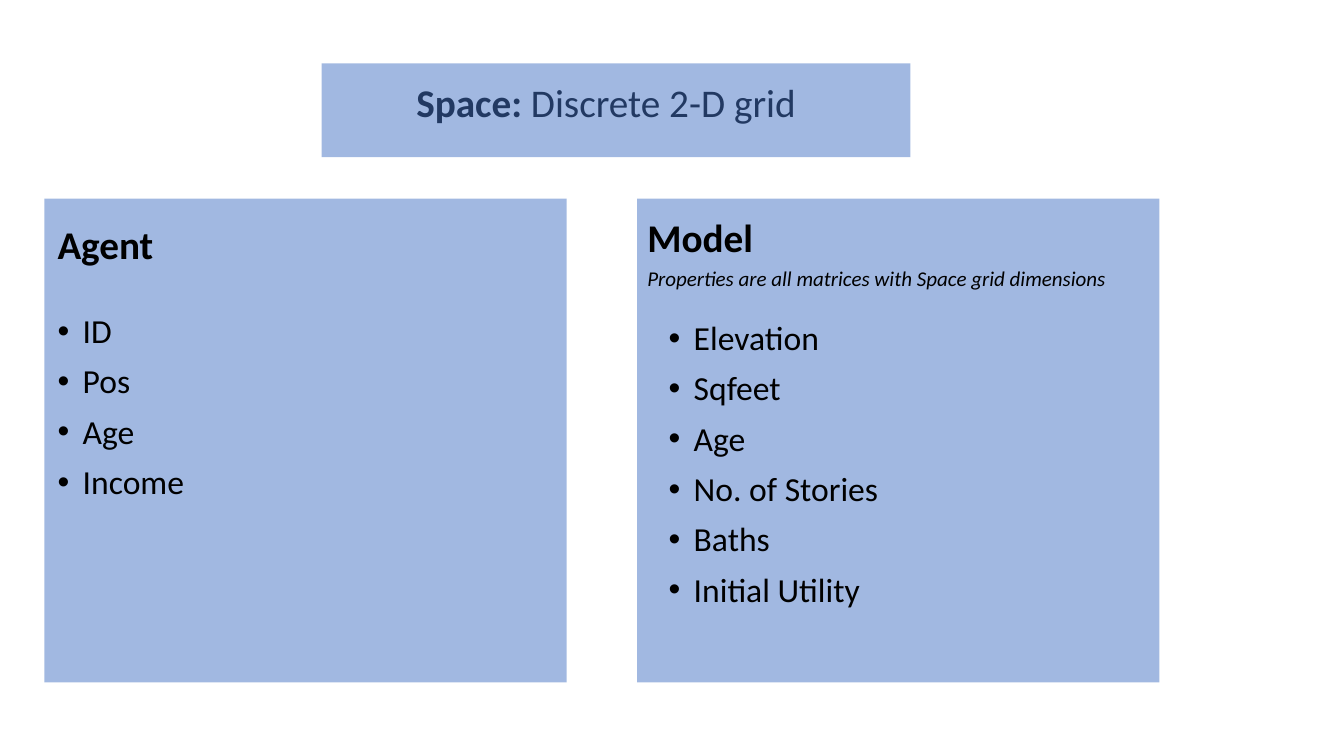
import pptx
import pptx.util
import pptx.dml.color
import pptx.enum.shapes
import pptx.enum.text
import pptx.oxml
import pptx.oxml.ns
import lxml.etree

COLORS = {"panel": "4472C4", "text": "000000"}
FONT = "Calibri"

presentation = pptx.Presentation()
presentation.slide_width = pptx.util.Inches(13.33)
presentation.slide_height = pptx.util.Inches(7.5)
slide = presentation.slides.add_slide(presentation.slide_layouts[4])
title, agent_heading, agent_list, model_heading, model_list = slide.placeholders


def share(left, top, width, height):
    """Turn percentages of the slide's size into lengths."""
    sizes = (presentation.slide_width, presentation.slide_height) * 2
    return [int(size * part / 100) for size, part in zip(sizes, (left, top, width, height))]


def fill_text(shape, area, lines, anchor, line_spacing, space_before, bullets=False):
    """Place a placeholder and write its lines of (text, size, bold, italic)."""
    shape.left, shape.top, shape.width, shape.height = share(*area)
    frame = shape.text_frame
    frame.text = "\n".join(line[0] for line in lines)
    frame.auto_size = pptx.enum.text.MSO_AUTO_SIZE.NONE
    frame.vertical_anchor = anchor
    for paragraph, (text, size, bold, italic) in zip(frame.paragraphs, lines):
        paragraph.alignment = pptx.enum.text.PP_ALIGN.LEFT
        paragraph.line_spacing = line_spacing
        paragraph.space_before = pptx.util.Pt(space_before)
        if bullets:
            properties = paragraph._p.get_or_add_pPr()
            properties.set("marL", str(pptx.util.Inches(0.25)))
            properties.set("indent", str(-pptx.util.Inches(0.25)))
            bullet = lxml.etree.SubElement(properties, pptx.oxml.ns.qn("a:buChar"))
            bullet.set("char", "•")
        font = paragraph.font
        font.name, font.size, font.bold, font.italic = FONT, pptx.util.Pt(size), bold, italic
        font.color.rgb = pptx.dml.color.RGBColor.from_string(COLORS["text"])


# Title and the two columns of text
TOP = pptx.enum.text.MSO_ANCHOR.TOP
BOTTOM = pptx.enum.text.MSO_ANCHOR.BOTTOM
fill_text(title, (30.23, 9.73, 38.86, 7.6),
          [("Space: Discrete 2-D grid", 28, False, False)], TOP, 1, 0)
title_paragraph = title.text_frame.paragraphs[0]
title_paragraph.runs[0].text = "Space: "
title_paragraph.runs[0].font.bold = True
title_paragraph.add_run().text = "Discrete 2-D grid"

fill_text(agent_heading, (3.53, 24.13, 42.31, 12),
          [("Agent", 28, True, False)], BOTTOM, 0.9, 10)
fill_text(model_heading, (47.41, 27.07, 37.51, 12),
          [("Model ", 28, True, False),
           ("Properties are all matrices with Space grid dimensions", 15, False, True)],
          BOTTOM, 0.7, 10)

agent_fields = ["ID", "Pos", "Age", "Income"]
model_fields = ["Elevation", "Sqfeet", "Age", "No. of Stories", "Baths", "Initial Utility"]
for shape, area, fields in [(agent_list, (3.53, 40.93, 42.31, 53.73), agent_fields),
                            (model_list, (48.99, 41.87, 42.54, 53.73), model_fields)]:
    lines = [(field, 24, False, False) for field in fields]
    fill_text(shape, area, lines, TOP, 0.9, 10, bullets=True)

# Translucent panels: the columns lie behind the text, the title panel over it
for area, behind in [((3.3, 26.27, 38.86, 64), True),
                     ((47.41, 26.27, 38.86, 64), True),
                     ((23.93, 8.4, 43.81, 12.4), False)]:
    panel = slide.shapes.add_shape(pptx.enum.shapes.MSO_SHAPE.RECTANGLE, *share(*area))
    panel.shadow.inherit = False
    panel.line.fill.background()
    panel.fill.solid()
    panel.fill.fore_color.rgb = pptx.dml.color.RGBColor.from_string(COLORS["panel"])
    color = panel._element.spPr.find(".//" + pptx.oxml.ns.qn("a:srgbClr"))
    lxml.etree.SubElement(color, pptx.oxml.ns.qn("a:alpha")).set("val", "50000")
    if behind:
        title._element.addprevious(panel._element)

presentation.save("out.pptx")
